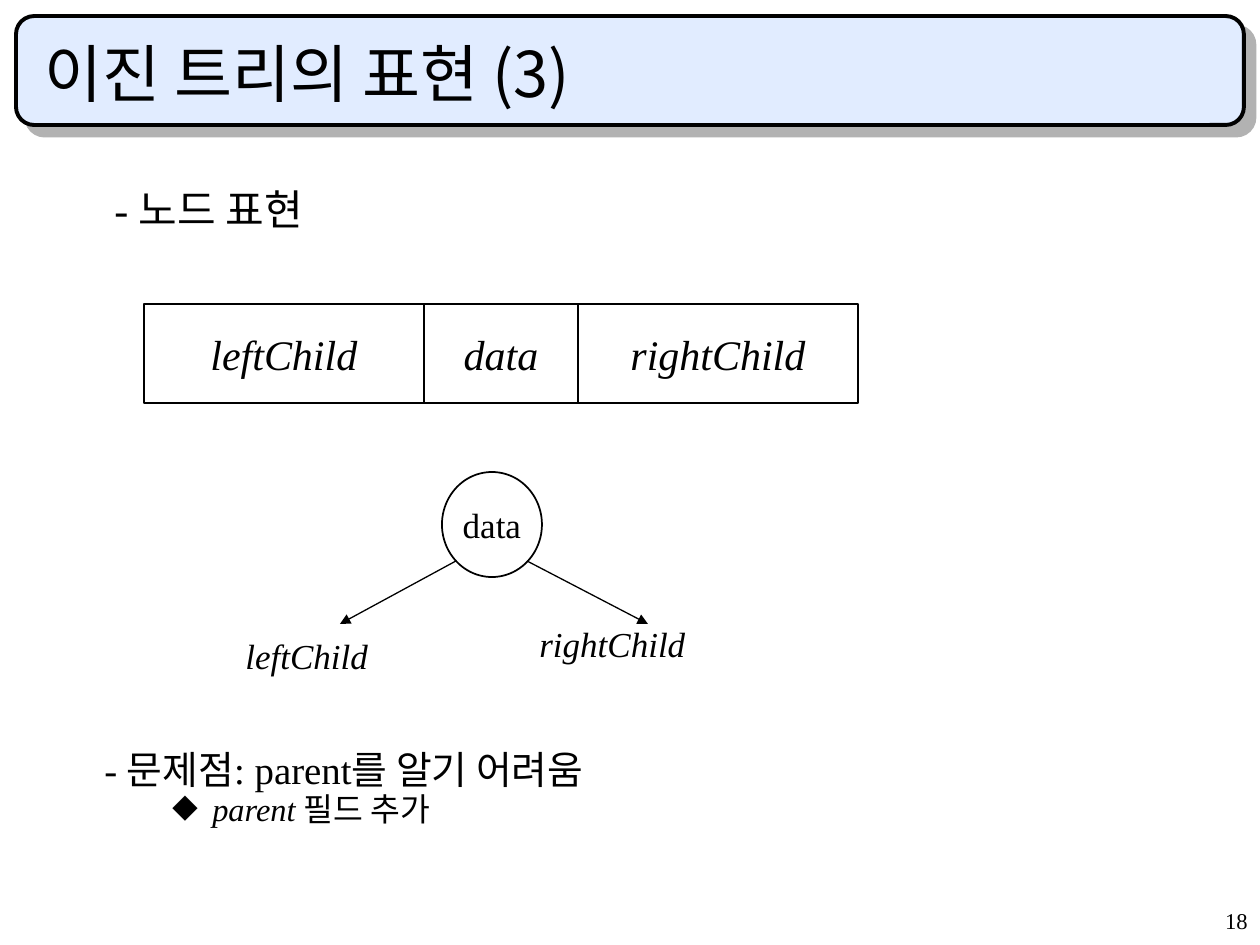
from lxml.etree import SubElement
from pptx import Presentation
from pptx.dml.color import RGBColor
from pptx.enum.shapes import MSO_CONNECTOR, MSO_SHAPE
from pptx.enum.text import MSO_ANCHOR, PP_ALIGN
from pptx.oxml.ns import qn
from pptx.util import Pt

PX = 914400 // 126
SLIDE = (1260, 945)
COLORS = {"ink": "000000", "paper": "FFFFFF", "banner": "E1ECFF", "shade": "B2B2B2"}
SERIF, KOREAN = "Times New Roman", "Noto Sans CJK KR"

# Content: runs are (text, size, italic)
TITLE = ("이진 트리의 표현 (3)", 36, False)
HEADING = ("- 노드 표현", 24, False)
FIELDS = [("leftChild", 280), ("data", 154), ("rightChild", 280)]
PROBLEM = ("- 문제점: parent를 알기 어려움", 22.2, False)
REMEDY = [("parent ", 18.5, True), ("필드 추가", 18.5, False)]
PAGE = ("18", 12.9, False)
# Tree: label, label box, line spacing, arrow start, arrow end
CHILDREN = [
    ("leftChild", (233, 624, 214, 59), 1.1, (456, 561), (340, 624)),
    ("rightChild", (527, 624, 242, 47), 0.8, (527, 561), (648, 624)),
]


def px(*lengths):
    return [length * PX for length in lengths]


def color(name):
    return RGBColor.from_string(COLORS[name])


def add_runs(paragraph, runs, latin=SERIF):
    for text, size, italic in runs:
        run = paragraph.add_run()
        run.text = text
        font = run.font
        font.size, font.italic, font.name = Pt(size), italic, latin
        font.color.rgb = color("ink")
        SubElement(run._r.get_or_add_rPr(), qn("a:ea"), typeface=KOREAN)


def indent(paragraph, left, first=0):
    props = paragraph._p.get_or_add_pPr()
    props.set("marL", str(left * PX))
    props.set("indent", str(first * PX))
    return props


def add_text(shapes, box, runs, spacing=1.0, latin=SERIF):
    frame = shapes.add_textbox(*px(*box)).text_frame
    frame.word_wrap = True
    first = frame.paragraphs[0]
    first.line_spacing = spacing
    add_runs(first, runs, latin)
    return frame


def add_outlined(shapes, preset, box, fill, width):
    shape = shapes.add_shape(preset, *px(*box))
    shape.shadow.inherit = False
    if fill:
        shape.fill.solid()
        shape.fill.fore_color.rgb = color(fill)
    else:
        shape.fill.background()
    shape.line.color.rgb = color("ink")
    shape.line.width = Pt(width)
    return shape


def add_label(shape, run):
    frame = shape.text_frame
    frame.word_wrap = False
    frame.vertical_anchor = MSO_ANCHOR.MIDDLE
    frame.paragraphs[0].alignment = PP_ALIGN.CENTER
    add_runs(frame.paragraphs[0], [run])


def add_arrow(shapes, start, end):
    arrow = shapes.add_connector(MSO_CONNECTOR.STRAIGHT, *px(*start, *end))
    arrow.line.color.rgb = color("ink")
    arrow.line.width = Pt(0.75)
    SubElement(arrow.line._get_or_add_ln(), qn("a:tailEnd"), type="triangle")
    SubElement(arrow._element.spPr, qn("a:effectLst"))


prs = Presentation()
prs.slide_width, prs.slide_height = px(*SLIDE)
slide = prs.slides.add_slide(prs.slide_layouts[6])
shapes = slide.shapes

# Title banner with its offset shadow
banner = add_outlined(shapes, MSO_SHAPE.ROUNDED_RECTANGLE, (16, 16, 1228, 109), "banner", 2.25)
effects = banner._element.spPr.find(qn("a:effectLst"))
shadow = SubElement(effects, qn("a:outerShdw"), dist=str(Pt(8.5)), dir=str(45 * 60000),
                    algn="ctr", rotWithShape="0")
SubElement(shadow, qn("a:srgbClr"), val=COLORS["shade"])
title = add_text(shapes, (32, 32, 1187, 84), [TITLE], latin=KOREAN)
title.vertical_anchor = MSO_ANCHOR.BOTTOM

# Page number
page = add_text(shapes, (998, 904, 262, 41), [PAGE], 0.9)
page.paragraphs[0].alignment = PP_ALIGN.RIGHT

# Node heading
heading = add_text(shapes, (54, 187, 328, 69), [HEADING], 0.8)
indent(heading.paragraphs[0], 48)

# Node record: adjoining fields
record = shapes.add_group_shape().shapes
left = 144
for name, width in FIELDS:
    field = add_outlined(record, MSO_SHAPE.RECTANGLE, (left, 304, width, 99), "paper", 0.75)
    add_label(field, (name, 24, True))
    left += width

# Node as a tree
tree = shapes.add_group_shape().shapes
node = add_outlined(tree, MSO_SHAPE.OVAL, (442, 472, 100, 105), None, 1)
add_label(node, ("data", 20, False))
for name, box, spacing, start, end in CHILDREN:
    add_text(tree, box, [(name, 20, True)], spacing)
    add_arrow(tree, start, end)

# Problem and remedy
problem = add_text(shapes, (34, 752, 755, 89), [PROBLEM], 0.7)
indent(problem.paragraphs[0], 58)
remedy = problem.add_paragraph()
remedy.line_spacing, remedy.space_before = 0.7, Pt(5)
props = indent(remedy, 166, -40)
bullet_color = SubElement(props, qn("a:buClr"))
SubElement(bullet_color, qn("a:srgbClr"), val=COLORS["ink"])
SubElement(props, qn("a:buSzPct"), val="80000")
SubElement(props, qn("a:buFont"), typeface=KOREAN)
SubElement(props, qn("a:buChar"), char="◆")
add_runs(remedy, REMEDY)

prs.save("out.pptx")
